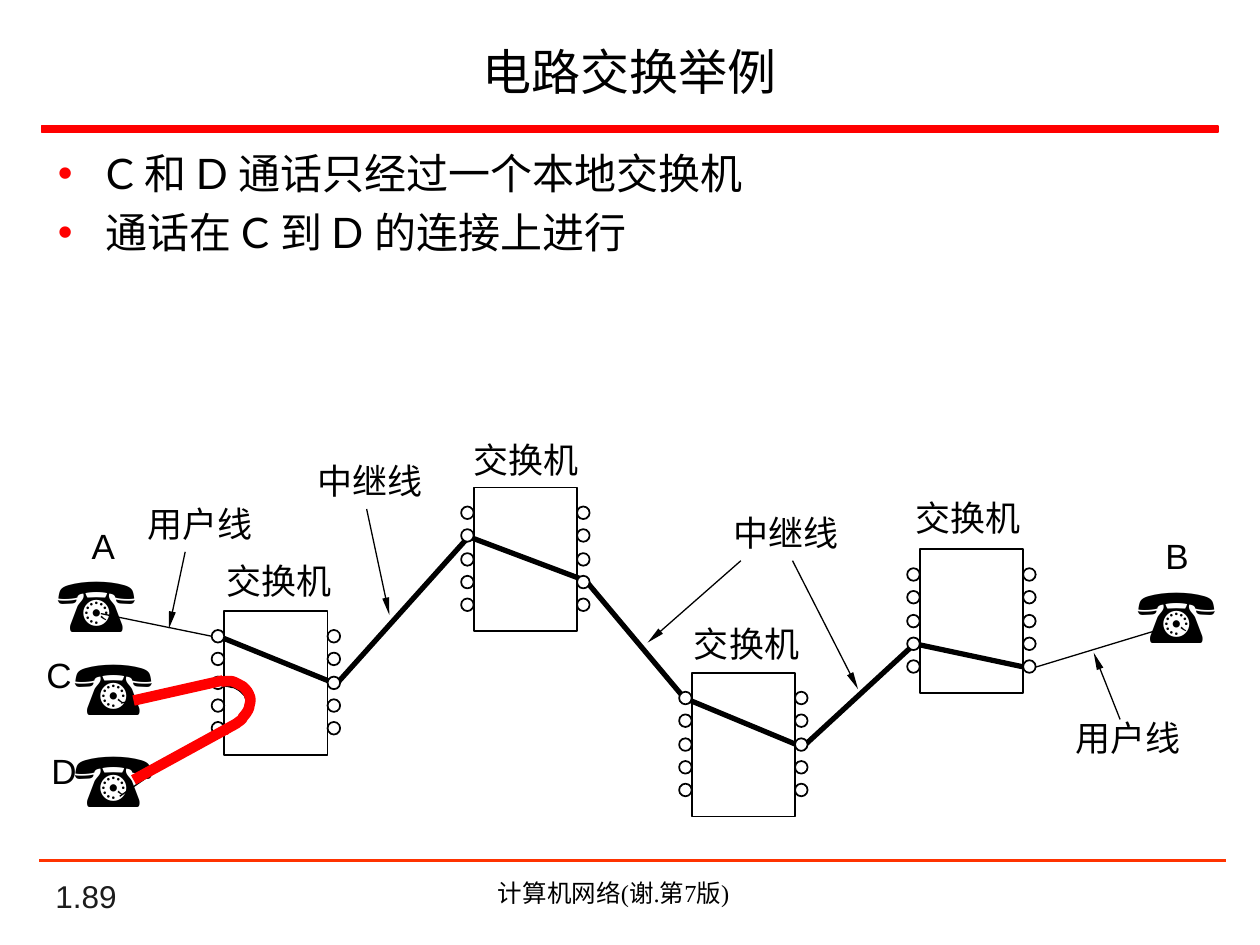
from lxml.etree import SubElement
from pptx import Presentation
from pptx.dml.color import RGBColor
from pptx.enum.shapes import MSO_CONNECTOR as CONNECTOR, MSO_SHAPE as SHAPE
from pptx.enum.text import MSO_ANCHOR as ANCHOR, MSO_AUTO_SIZE as AUTO_SIZE, PP_ALIGN as ALIGN
from pptx.oxml.ns import qn
from pptx.util import Pt

SCALE = 9144  # EMU in one px, 100 px to the inch
BLACK, RED, WHITE = "000000", "FF0000", "FFFFFF"
SWITCH_SIZE, PORT = (82, 114), 10
PORT_OFFSETS = (15, 33, 52, 70, 88)


def px(*values):
    return [round(value * SCALE) for value in values]


def color(hex_text):
    return RGBColor.from_string(hex_text)


def set_font(font, size, name, hex_text=BLACK):
    for key, value in {"size": Pt(size), "name": name, "bold": False}.items():
        setattr(font, key, value)
    font.color.rgb = color(hex_text)


def set_line(line, width, hex_text=BLACK):
    line.width = Pt(width)
    line.fill.solid()
    line.fill.fore_color.rgb = color(hex_text)


def add_text(shapes, box, text, size, font, hex_text=BLACK, align=ALIGN.LEFT,
             anchor=ANCHOR.TOP, wrap=False):
    frame = shapes.add_textbox(*px(*box)).text_frame
    fit = AUTO_SIZE.NONE if wrap else AUTO_SIZE.SHAPE_TO_FIT_TEXT
    for key, value in {"word_wrap": wrap, "auto_size": fit, "vertical_anchor": anchor}.items():
        setattr(frame, key, value)
    para = frame.paragraphs[0]
    para.alignment = align
    span = para.add_run()
    span.text = text
    set_font(span.font, size, font, hex_text)


def add_shape(shapes, kind, box, fill=None, border=BLACK):
    shape = shapes.add_shape(kind, *px(*box))
    shape.shadow.inherit = False
    if fill:
        shape.fill.solid()
        shape.fill.fore_color.rgb = color(fill)
    else:
        shape.fill.background()
    set_line(shape.line, 1, border)


def add_line(shapes, ends, width=0.75, hex_text=BLACK, arrow=False):
    connector = shapes.add_connector(CONNECTOR.STRAIGHT, *px(*ends))
    set_line(connector.line, width, hex_text)
    if arrow:
        SubElement(connector.line._get_or_add_ln(), qn("a:tailEnd"),
                   type="triangle", w="sm", len="lg")
    SubElement(connector._element.spPr, qn("a:effectLst"))


def add_path(shapes, points, width, hex_text=BLACK):
    points = [px(*point) for point in points]
    builder = shapes.build_freeform(*points[0], scale=1.0)
    builder.add_line_segments(points[1:], close=False)
    shape = builder.convert_to_shape()
    shape.shadow.inherit = False
    shape.fill.background()
    set_line(shape.line, width, hex_text)


def curve(controls, steps=5):
    """Points along joined cubic Bezier pieces."""
    points = [controls[0]]
    for start in range(0, len(controls) - 1, 3):
        piece = controls[start:start + 4]
        for step in range(1, steps + 1):
            t = step / steps
            weights = ((1 - t) ** 3, 3 * t * (1 - t) ** 2, 3 * t * t * (1 - t), t ** 3)
            points.append(tuple(sum(w * point[axis] for w, point in zip(weights, piece))
                                for axis in (0, 1)))
    return points


def place(placeholder, box, anchor):
    placeholder.left, placeholder.top, placeholder.width, placeholder.height = px(*box)
    frame = placeholder.text_frame
    for key, value in {"auto_size": AUTO_SIZE.NONE, "word_wrap": True,
                       "vertical_anchor": anchor}.items():
        setattr(frame, key, value)
    return frame


def add_header(page, box, title):
    left, top, width, height = box
    frame = place(page.shapes.title, box, ANCHOR.MIDDLE)
    frame.text = title
    para = frame.paragraphs[0]
    para.alignment = ALIGN.CENTER
    set_font(para.runs[0].font, 28, "Lato")
    add_shape(page.shapes, SHAPE.RECTANGLE, (left - 6, top + 78, width + 13, 5), RED, RED)


def add_bullets(page, box, lines):
    frame = place(page.placeholders[1], box, ANCHOR.TOP)
    for index, text in enumerate(lines):
        para = frame.add_paragraph() if index else frame.paragraphs[0]
        para.space_before = Pt(5 if index else 0)
        props = para._p.get_or_add_pPr()
        indent = px(38)[0]
        props.set("marL", str(indent))
        props.set("indent", str(-indent))
        SubElement(SubElement(props, qn("a:buClr")), qn("a:srgbClr"), val=RED)
        SubElement(props, qn("a:buChar"), char="•")
        span = para.add_run()
        span.text = text
        set_font(span.font, 24, "Lato")


def add_footer(page, box, number, source):
    left, top, width, height = box
    add_line(page.shapes, (left, top, left + width, top), 1.5, "FF3300")
    add_text(page.shapes, (left + 3, top + 15, 208, 33), number, 18, "Arial", "1C1C1C",
             anchor=ANCHOR.BOTTOM, wrap=True)
    add_text(page.shapes, (left + 252, top + 9, 408, 34), source, 14, "Times New Roman",
             align=ALIGN.CENTER, wrap=True)


def add_switch(shapes, left, top):
    width, height = SWITCH_SIZE
    add_shape(shapes, SHAPE.RECTANGLE, (left, top, width, height))
    for port_left in (left - PORT, left + width):
        for offset in PORT_OFFSETS:
            add_shape(shapes, SHAPE.OVAL, (port_left, top + offset, PORT, PORT), WHITE)


def add_network(page, left, top):
    shapes = page.shapes

    def at(*values):
        return tuple(value + (top if index % 2 else left) for index, value in enumerate(values))

    # Lines from the phones, and the trunk route from A to B
    inner_loop = [(149, 200), (150, 200), (154, 200), (157, 201), (160, 201), (162, 203),
                  (164, 204), (166, 206), (169, 208), (169, 210), (170, 213), (171, 216),
                  (170, 219), (169, 222), (167, 226), (165, 228), (163, 230), (159, 232),
                  (156, 233), (153, 234), (149, 235), (147, 235)]
    add_path(shapes, curve([at(*point) for point in inner_loop]), 3)
    for ends in ((68, 289, 146, 235), (69, 215, 147, 200),
                 (790, 188, 892, 157), (53, 144, 146, 163)):
        add_line(shapes, at(*ends))
    trunk = [(144, 161), (240, 200), (345, 83), (438, 118),
             (516, 211), (610, 250), (699, 168), (793, 188)]
    add_path(shapes, [at(*point) for point in trunk], 3)

    # Switches
    for corner in ((151, 142), (349, 44), (522, 191), (703, 93)):
        add_switch(shapes, *at(*corner))

    # Pointers from the labels
    for ends in ((120, 95, 107, 156), (862, 228, 841, 175), (561, 102, 487, 167),
                 (602, 102, 654, 204), (264, 61, 282, 145)):
        add_line(shapes, at(*ends), arrow=True)

    # Phones with their letters
    for letter, phone, mark in (("A", (9, 93), (36, 68)), ("B", (866, 102), (888, 76)),
                                ("C", (22, 159), (0, 171)), ("D", (22, 232), (4, 247))):
        add_text(shapes, at(*phone) + (86, 83), "☎", 44, "Arial")
        add_text(shapes, at(*mark) + (40, 43), letter, 20, "Arial")

    # Labels
    for text, corners in {"交换机": ((143, 96), (339, 0), (514, 146), (690, 46)),
                          "用户线": ((80, 51), (817, 221)),
                          "中继线": ((545, 58), (215, 17))}.items():
        for corner in corners:
            add_text(shapes, at(*corner) + (104, 43), text, 20, "Times New Roman")

    # Call between C and D
    call = shapes.add_group_shape().shapes
    call_loop = [(149, 198), (151, 198), (156, 197), (158, 198), (161, 199), (164, 201),
                 (166, 202), (168, 204), (170, 206), (171, 209), (172, 211), (172, 214),
                 (171, 217), (171, 220), (168, 224), (166, 226), (165, 229), (163, 229),
                 (161, 231), (158, 233), (153, 235), (151, 237)]
    add_path(call, curve([at(*point) for point in call_loop]), 6, RED)
    for ends in ((79, 213, 150, 197), (79, 276, 152, 236)):
        add_line(call, at(*ends), 6, RED)


def main():
    deck = Presentation()
    deck.slide_width, deck.slide_height = px(1000, 750)
    page = deck.slides.add_slide(deck.slide_layouts[1])
    add_header(page, (39, 22, 921, 69), "电路交换举例")
    add_bullets(page, (36, 112, 928, 563),
                ["C 和 D 通话只经过一个本地交换机", "通话在 C 到 D 的连接上进行"])
    add_footer(page, (31, 683, 942, 48), "1.89", "计算机网络(谢.第7版)")
    add_network(page, 27, 343)
    deck.save("out.pptx")


if __name__ == "__main__":
    main()
